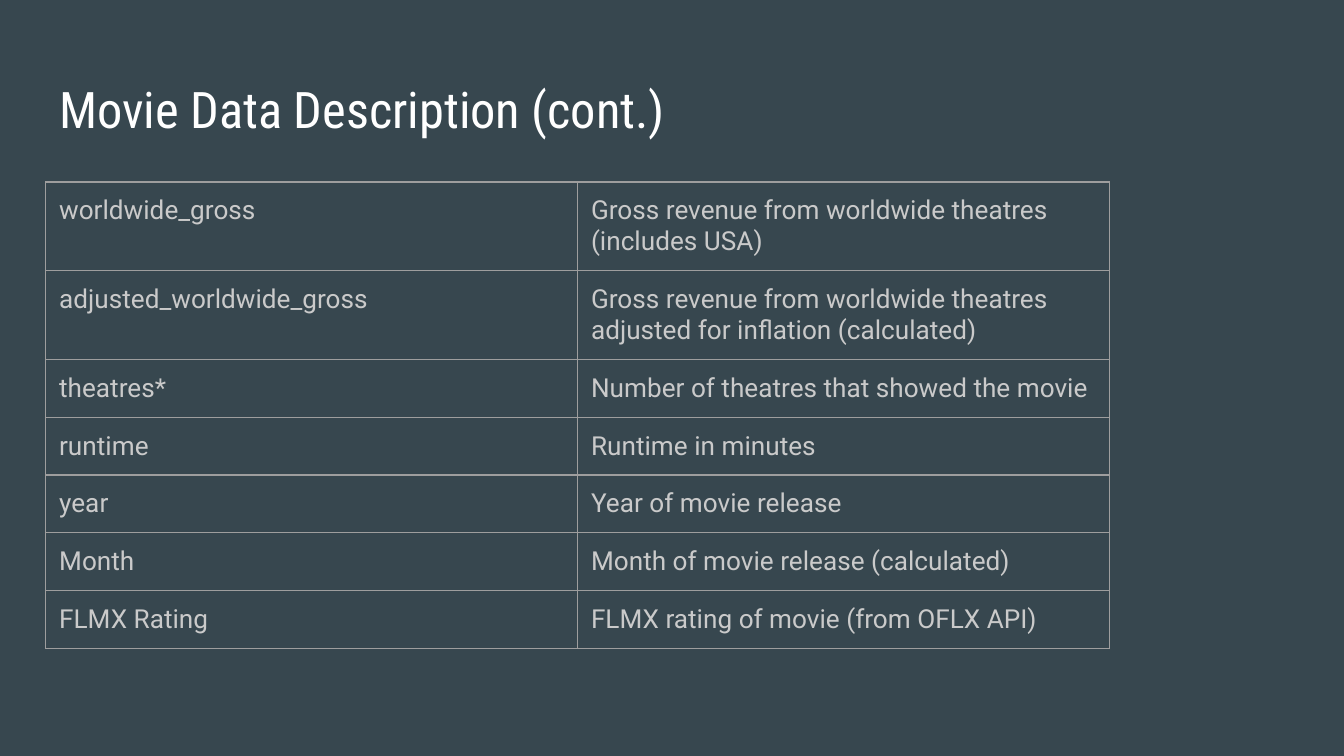
from itertools import product

from lxml.etree import SubElement
from pptx import Presentation
from pptx.dml.color import RGBColor
from pptx.enum.text import MSO_ANCHOR, PP_ALIGN
from pptx.oxml.ns import qn
from pptx.util import Inches, Pt

WIDTH = Inches(10)
HEIGHT = WIDTH * 9 // 16
BACKGROUND, BORDER = "37474F", "9E9E9E"
INSET = Inches(0.1)
MARGINS = {f"margin_{side}": INSET for side in ("left", "right", "top", "bottom")}
TITLE_FONT = {"name": "Roboto Condensed", "size": Pt(27), "bold": False}
CELL_FONT = {"name": "Roboto", "size": Pt(14), "bold": False}

FIELDS = [
    ("worldwide_gross", "Gross revenue from worldwide theatres (includes USA)"),
    ("adjusted_worldwide_gross",
     "Gross revenue from worldwide theatres adjusted for inflation (calculated)"),
    ("theatres*", "Number of theatres that showed the movie"),
    ("runtime", "Runtime in minutes"),
    ("year", "Year of movie release"),
    ("Month", "Month of movie release (calculated)"),
    ("FLMX Rating", "FLMX rating of movie (from OFLX API)"),
]


def color(value):
    return RGBColor.from_string(value)


def apply_format(target, values):
    for name, value in values.items():
        setattr(target, name, value)


def percent_box(left, top, width, height):
    return {"left": round(WIDTH * left / 100), "top": round(HEIGHT * top / 100),
            "width": round(WIDTH * width / 100), "height": round(HEIGHT * height / 100)}


def write_text(frame, text, font, ink):
    para = frame.paragraphs[0]
    para.alignment = PP_ALIGN.LEFT
    span = para.add_run()
    span.text = text
    apply_format(span.font, font)
    span.font.color.rgb = color(ink)


def draw_borders(cell):
    properties = cell._tc.get_or_add_tcPr()
    for position, side in enumerate(("a:lnL", "a:lnR", "a:lnT", "a:lnB")):
        line = SubElement(properties, qn(side), w=str(Pt(0.75)))
        fill = SubElement(line, qn("a:solidFill"))
        SubElement(fill, qn("a:srgbClr"), val=BORDER)
        properties.insert(position, line)


def place_title(page, box, text):
    title = page.shapes.title
    apply_format(title, box)
    apply_format(title.text_frame, {**MARGINS, "word_wrap": True,
                                    "vertical_anchor": MSO_ANCHOR.MIDDLE})
    write_text(title.text_frame, text, TITLE_FONT, "FFFFFF")


def place_field_table(page, box, fields):
    rows, columns = len(fields), len(fields[0])
    table = page.shapes.add_table(rows, columns, **box).table
    apply_format(table, {"first_row": False, "horz_banding": False})
    for row, column in product(range(rows), range(columns)):
        cell = table.cell(row, column)
        cell.fill.background()
        apply_format(cell, MARGINS)
        write_text(cell.text_frame, fields[row][column], CELL_FONT, "CACACA")
        draw_borders(cell)


def main():
    deck = Presentation()
    apply_format(deck, {"slide_width": WIDTH, "slide_height": HEIGHT})
    page = deck.slides.add_slide(deck.slide_layouts[5])
    page.background.fill.solid()
    page.background.fill.fore_color.rgb = color(BACKGROUND)
    place_title(page, percent_box(3.4, 8.8, 93.2, 11.2),
                "Movie Data Description (cont.)")
    place_field_table(page, percent_box(3.4, 24.06, 79.15, 52.5), FIELDS)
    deck.save("out.pptx")


if __name__ == "__main__":
    main()
